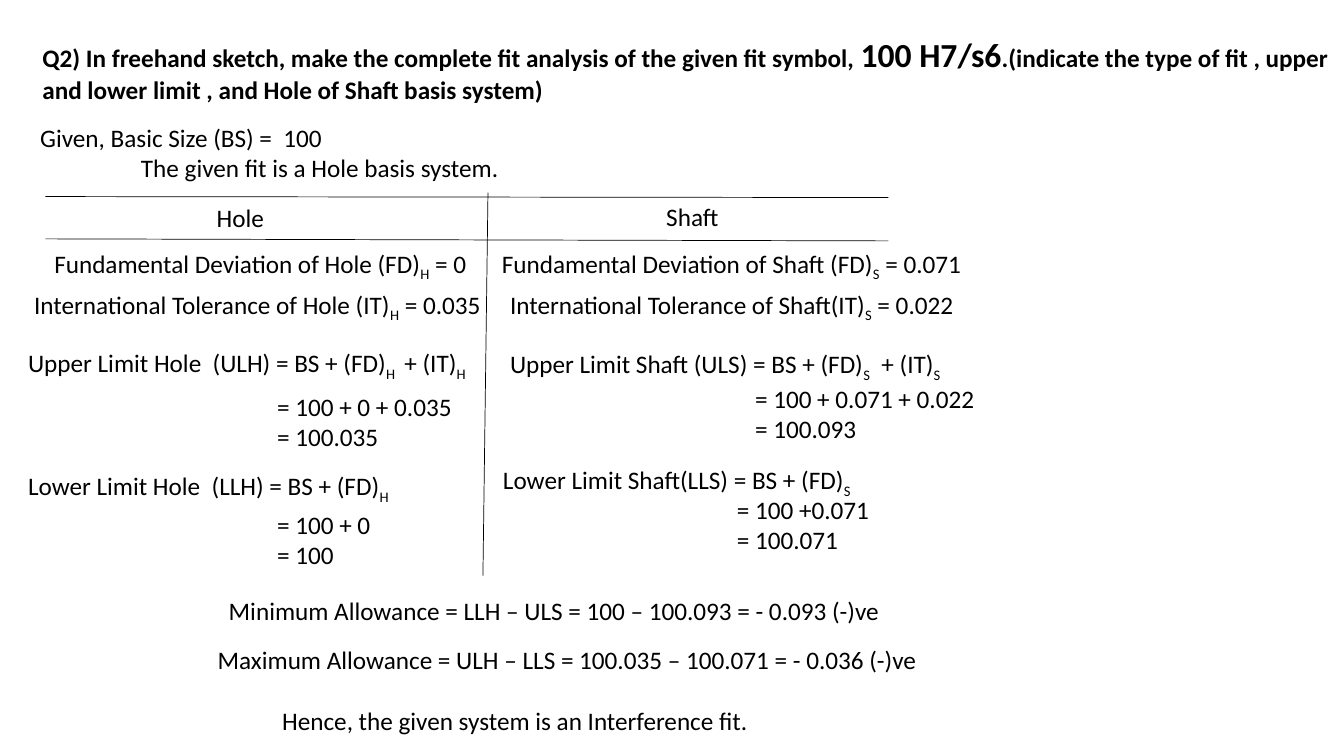
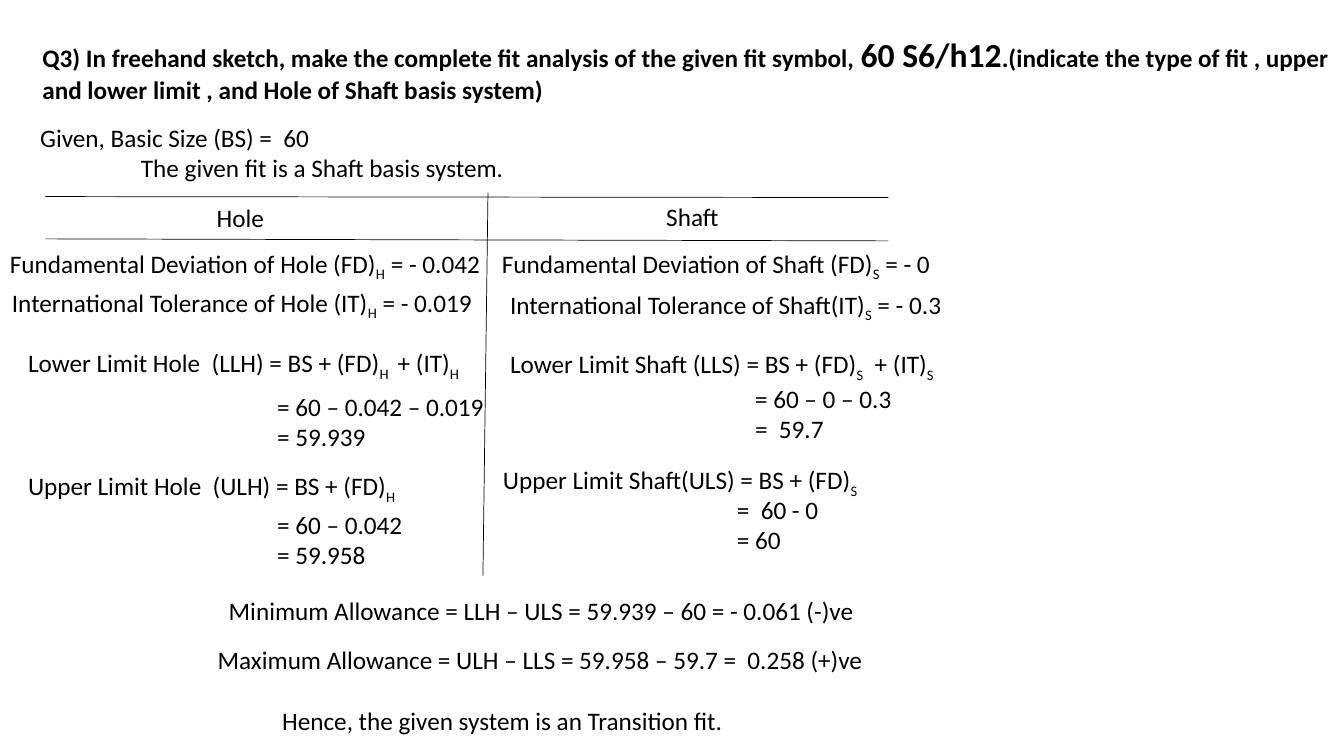
from dataclasses import dataclass
from typing import NamedTuple

import pptx
import pptx.dml.color
import pptx.enum.shapes
import pptx.enum.text
import pptx.oxml.ns
import pptx.presentation
import pptx.slide
import pptx.text.text
import pptx.util
from lxml import etree
from pptx.util import Inches


@dataclass(frozen=True)
class Theme:
    ink: pptx.dml.color.RGBColor = pptx.dml.color.RGBColor(0, 0, 0)
    paper: pptx.dml.color.RGBColor = pptx.dml.color.RGBColor(255, 255, 255)
    font: str = "Calibri"
    body_size: float = 18
    symbol_size: float = 24
    rule_width: float = 0.5
    subscript: int = -25000
    indent: float = 1


THEME = Theme()


class Place(NamedTuple):
    left: float
    top: float
    width: float
    height: float = 0.4


class Rule(NamedTuple):
    x1: float
    y1: float
    x2: float
    y2: float


@dataclass(frozen=True)
class ColumnLayout:
    """Places and label spacing of the hole or the shaft column."""
    member: str
    heading: Place
    first_limit: Place
    first_steps: Place
    second_limit: Place
    second_steps: Place
    tolerance_gap: str
    first_gap: str
    second_gap: str
    plus_it: str


@dataclass(frozen=True)
class Analysis:
    """Values of one member; the places vary with the length of the values."""
    deviation: str
    deviation_at: Place
    tolerance: str
    tolerance_at: Place
    first_steps: list[str]
    second_steps: list[str]


@dataclass(frozen=True)
class FitQuestion:
    number: int
    symbol: str
    basic_size: str
    basis: str
    limits: tuple[str, str]
    hole: Analysis
    shaft: Analysis
    minimum: str
    maximum: str
    fit: str


TITLE = Place(0.32, 0.29, 13.01, 0.81)
GIVEN = Place(0.3, 1.16, 4.83, 0.71)
MINIMUM = Place(2.17, 5.86, 6.89)
MAXIMUM = Place(2.06, 6.34, 7.27)
CONCLUSION = Place(2.7, 6.95, 7.62)
RULES = [
    Rule(0.45, 1.95, 8.81, 1.96),
    Rule(0.45, 2.37, 8.81, 2.39),
    Rule(4.84, 1.91, 4.79, 5.71),
]

HOLE = ColumnLayout(
    member="Hole",
    heading=Place(2.05, 1.96, 1.65),
    first_limit=Place(0.18, 3.4, 4.78),
    first_steps=Place(2.65, 3.83, 2.78, 0.71),
    second_limit=Place(0.18, 4.62, 4.78),
    second_steps=Place(2.65, 5, 2.78, 0.71),
    tolerance_gap=" ", first_gap="  ", second_gap="  ",
    plus_it="|H | + (IT)|H|",
)
SHAFT = ColumnLayout(
    member="Shaft",
    heading=Place(6.51, 1.95, 1.43),
    first_limit=Place(4.96, 3.41, 4.78),
    first_steps=Place(7.39, 3.75, 2.59, 0.71),
    second_limit=Place(4.89, 4.56, 4.78),
    second_steps=Place(7.21, 4.85, 1.52, 0.71),
    tolerance_gap="", first_gap=" ", second_gap="",
    plus_it="|S|  + (IT)|S|",
)

SHAFT_DEVIATION = Place(4.88, 2.41, 4.8)
SHAFT_TOLERANCE = Place(4.96, 2.82, 4.82)

QUESTIONS = [
    FitQuestion(
        2, "100 H7/s6", "100", "Hole", ("Upper", "Lower"),
        hole=Analysis("0", Place(0.44, 2.41, 4.54),
                      "0.035", Place(0.24, 2.82, 4.82),
                      ["= 100 + 0 + 0.035", "= 100.035"],
                      ["= 100 + 0", "= 100"]),
        shaft=Analysis("0.071", SHAFT_DEVIATION, "0.022", SHAFT_TOLERANCE,
                       ["= 100 + 0.071 + 0.022", "= 100.093"],
                       ["= 100 +0.071", "= 100.071"]),
        minimum="100 – 100.093 = - 0.093 (-)ve",
        maximum="100.035 – 100.071 = - 0.036 (-)ve",
        fit="Interference",
    ),
    FitQuestion(
        3, "60 S6/h12", "60", "Shaft", ("Lower", "Upper"),
        hole=Analysis("- 0.042", Place(0, 2.41, 4.98),
                      "- 0.019", Place(0.02, 2.8, 4.82),
                      ["= 60 – 0.042 – 0.019", "= 59.939"],
                      ["= 60 – 0.042", "= 59.958"]),
        shaft=Analysis("- 0", SHAFT_DEVIATION, "- 0.3", SHAFT_TOLERANCE,
                       ["= 60 – 0 – 0.3", "=  59.7"],
                       ["=  60 - 0", "= 60"]),
        minimum="59.939 – 60 = - 0.061 (-)ve",
        maximum="59.958 – 59.7 =  0.258 (+)ve",
        fit="Transition",
    ),
]


def write(paragraph: pptx.text.text._Paragraph, text: str, *,
          bold: bool = False, marked_size: float = THEME.body_size,
          marked_baseline: int = THEME.subscript, indent: float = 0) -> None:
    """Write text; pieces between bars get the marked size and baseline."""
    paragraph.alignment = pptx.enum.text.PP_ALIGN.LEFT
    if indent:
        paragraph._p.get_or_add_pPr().set("marL", str(Inches(indent)))
    for index, piece in enumerate(text.split("|")):
        if not piece:
            continue
        marked = index % 2 == 1
        run = paragraph.add_run()
        run.text = piece
        run.font.name = THEME.font
        run.font.size = pptx.util.Pt(marked_size if marked else THEME.body_size)
        run.font.bold = bold
        run.font.color.rgb = THEME.ink
        if marked and marked_baseline:
            run.font._element.set("baseline", str(marked_baseline))


def add_lines(slide: pptx.slide.Slide, place: Place, *lines: str,
              last_indent: float = 0) -> None:
    frame = slide.shapes.add_textbox(*map(Inches, place)).text_frame
    frame.word_wrap = True
    frame.auto_size = pptx.enum.text.MSO_AUTO_SIZE.SHAPE_TO_FIT_TEXT
    for index, line in enumerate(lines):
        paragraph = frame.add_paragraph() if index else frame.paragraphs[0]
        write(paragraph, line, indent=last_indent if index == len(lines) - 1 else 0)


def add_title(slide: pptx.slide.Slide, question: FitQuestion) -> None:
    title = slide.shapes.title
    title.left, title.top, title.width, title.height = map(Inches, TITLE)
    frame = title.text_frame
    frame.word_wrap = True
    frame.auto_size = pptx.enum.text.MSO_AUTO_SIZE.SHAPE_TO_FIT_TEXT
    frame.vertical_anchor = pptx.enum.text.MSO_ANCHOR.TOP
    write(frame.paragraphs[0],
          f"Q{question.number}) In freehand sketch, make the complete fit analysis "
          f"of the given fit symbol, |{question.symbol}|.(indicate the type of fit , "
          "upper and lower limit , and Hole of Shaft basis system)",
          bold=True, marked_size=THEME.symbol_size, marked_baseline=0)


def add_rule(slide: pptx.slide.Slide, rule: Rule) -> None:
    line = slide.shapes.add_connector(
        pptx.enum.shapes.MSO_CONNECTOR.STRAIGHT, *map(Inches, rule))
    line.line.color.rgb = THEME.ink
    line.line.width = pptx.util.Pt(THEME.rule_width)
    etree.SubElement(line._element.spPr, pptx.oxml.ns.qn("a:effectLst"))


def add_column(slide: pptx.slide.Slide, layout: ColumnLayout,
               analysis: Analysis, limits: tuple[str, str]) -> None:
    member, letter = layout.member, layout.member[0]
    first, second = limits
    add_lines(slide, layout.heading, member)
    add_lines(slide, analysis.deviation_at,
              f"Fundamental Deviation of {member} (FD)|{letter}| = {analysis.deviation}")
    add_lines(slide, analysis.tolerance_at,
              f"International Tolerance of {member}{layout.tolerance_gap}"
              f"(IT)|{letter}| = {analysis.tolerance}")
    add_lines(slide, layout.first_limit,
              f"{first} Limit {member}{layout.first_gap}({first[0]}L{letter})"
              f" = BS + (FD){layout.plus_it}")
    add_lines(slide, layout.first_steps, *analysis.first_steps)
    add_lines(slide, layout.second_limit,
              f"{second} Limit {member}{layout.second_gap}({second[0]}L{letter})"
              f" = BS + (FD)|{letter}|")
    add_lines(slide, layout.second_steps, *analysis.second_steps)


def add_question(deck: pptx.presentation.Presentation, question: FitQuestion) -> None:
    slide = deck.slides.add_slide(deck.slide_layouts.get_by_name("Title Only"))
    slide.background.fill.solid()
    slide.background.fill.fore_color.rgb = THEME.paper
    add_title(slide, question)
    add_lines(slide, GIVEN,
              f"Given, Basic Size (BS) =  {question.basic_size}",
              f"The given fit is a {question.basis} basis system.",
              last_indent=THEME.indent)
    for rule in RULES:
        add_rule(slide, rule)
    add_column(slide, HOLE, question.hole, question.limits)
    add_column(slide, SHAFT, question.shaft, question.limits)
    add_lines(slide, MINIMUM, f"Minimum Allowance = LLH – ULS = {question.minimum}")
    add_lines(slide, MAXIMUM, f"Maximum Allowance = ULH – LLS = {question.maximum}")
    add_lines(slide, CONCLUSION, f"Hence, the given system is an {question.fit} fit.")


def main() -> None:
    deck = pptx.Presentation()
    deck.slide_width, deck.slide_height = Inches(13.33), Inches(7.5)
    for question in QUESTIONS:
        add_question(deck, question)
    deck.save("out.pptx")


if __name__ == "__main__":
    main()
